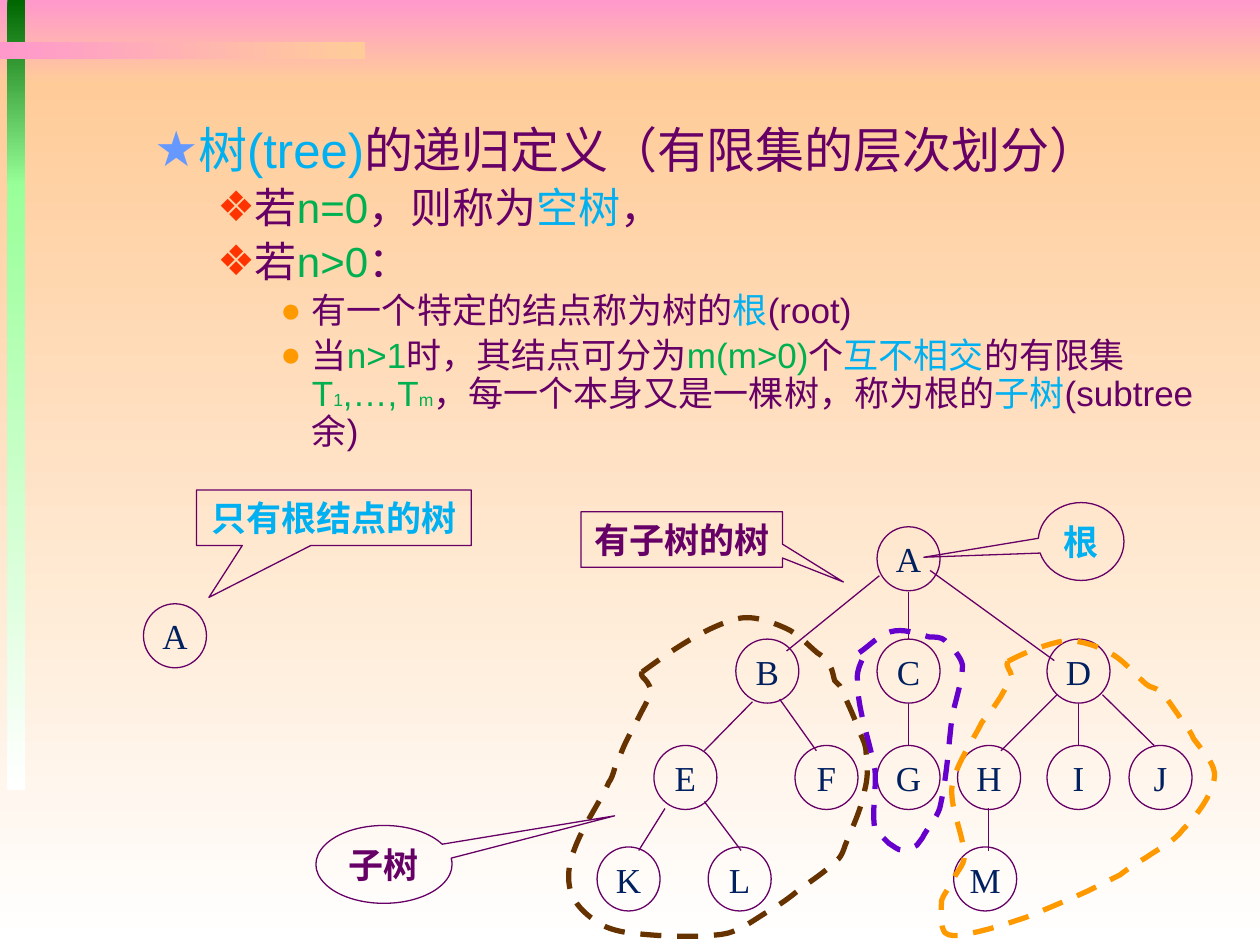
from math import hypot

from lxml import etree
from pptx import Presentation
from pptx.dml.color import RGBColor
from pptx.enum.dml import MSO_LINE
from pptx.enum.shapes import MSO_CONNECTOR, MSO_SHAPE
from pptx.enum.text import MSO_ANCHOR, MSO_AUTO_SIZE, PP_ALIGN
from pptx.oxml.ns import qn
from pptx.util import Pt

RECT, OVAL = MSO_SHAPE.RECTANGLE, MSO_SHAPE.OVAL
RECT_CALLOUT = MSO_SHAPE.RECTANGULAR_CALLOUT
OVAL_CALLOUT = MSO_SHAPE.OVAL_CALLOUT

THEME = {
    "text": "660066", "key": "00B0F0", "formula": "00B050", "node": "002060",
    "pink": "FF99CC", "peach": "FFCC99", "white": "FFFFFF",
    "dark_green": "006600", "light_green": "99FF99",
    "brown": "663300", "violet": "6600CC", "orange": "FF9900",
    "body_font": "Arial", "tree_font": "Times New Roman",
    "tree_size": 20, "subscript_size": 10, "thin": 0.75, "thick": 3,
}
# level: size, text indent, hanging, bullet, bullet colour
LEVELS = [
    (28, 58.5, 22.5, "★", "6699FF"),
    (24, 90, 18, "❖", "FF3300"),
    (20, 126, 18, "●", "FF9900"),
]
# left, top, width, height, first colour, last colour, angle
BANDS = [
    (0, 0, 720, 48, "pink", "peach", 270),
    (0, 48, 720, 492, "peach", "white", 270),
    (4.2, 0, 10, 106.5, "dark_green", "light_green", 270),
    (4.2, 105, 10, 346.5, "light_green", "white", 270),
    (0, 24, 208.5, 10, "pink", "peach", 0),
]
# level, runs of (text, colour, is subscript)
DEFINITION = [
    (0, [("树(tree)", "key"), ("的递归定义（有限集的层次划分）", "text")]),
    (1, [("若", "text"), ("n=0", "formula"), ("，则称为", "text"),
         ("空树", "key"), ("，", "text")]),
    (1, [("若", "text"), ("n>0", "formula"), ("：", "text")]),
    (2, [("有一个特定的结点称为树的", "text"), ("根", "key"), ("(root)", "text")]),
    (2, [("当", "text"), ("n>1", "formula"), ("时，其结点可分为", "text"),
         ("m(m>0)", "formula"), ("个", "text"), ("互不相交", "key"),
         ("的有限集", "text"), ("T", "formula"), ("1", "formula", True),
         (",…,T", "formula"), ("m", "formula", True),
         ("，每一个本身又是一棵树，称为根的", "text"), ("子树", "key"),
         ("(subtree余)", "text")]),
]
NODE_WIDTH, NODE_HEIGHT = 36, 36.6
# top of the row: label and left edge of each node
NODE_ROWS = {
    345: [("A", 82)],
    301: [("A", 501.2)],
    365.2: [("B", 420.5), ("C", 501.2), ("D", 598.3)],
    426: [("E", 373.7), ("F", 454.3), ("G", 501.2), ("H", 547.2),
          ("I", 598.3), ("J", 645.2)],
    484: [("K", 341.2), ("L", 404.7), ("M", 545)],
}
BRANCHES = [
    (519, 338.5, 519, 365), (519, 402.5, 519, 426), (616.3, 402.5, 616.3, 426),
    (604, 397, 572, 429), (630, 397, 659.5, 426), (531.5, 326, 602.5, 377.5),
    (502.5, 329, 449.5, 372), (445.5, 399.5, 466.5, 429), (430, 401, 402.5, 429),
    (380, 462, 365, 486), (402.5, 458, 423.5, 486), (565, 462, 565, 486),
]
# preset, left, top, width, height, pointer, text, colour
CALLOUTS = [
    (RECT_CALLOUT, 112.3, 280, 157, 31.7, (-0.455, 1.438), "只有根结点的树", "key"),
    (RECT_CALLOUT, 332, 292.5, 115.2, 31.7, (0.802, 0.765), "有子树的树", "text"),
    (OVAL_CALLOUT, 593.3, 287.2, 49, 44.5, (-1.834, 0.202), "根", "key"),
    (OVAL_CALLOUT, 180.5, 471.7, 77.8, 44.5, (1.694, -0.624), "子树", "text"),
]
# colour, is closed, points on the outline
SUBTREES = [
    ("brown", True, [
        (367, 384.5), (420.5, 353.5), (449, 359), (467, 373), (474.5, 380),
        (477, 389), (480, 392.5), (491, 417.5), (495, 431), (494, 452),
        (483, 483), (479, 491), (456.5, 509), (437, 522), (412, 534),
        (359, 533), (340, 526), (326, 509), (328, 486), (348.5, 447),
        (353.5, 433), (366.5, 408), (371.5, 395), (370, 390)]),
    ("violet", False, [
        (491, 373), (509, 361), (531, 363.5), (540, 366.5), (549.5, 380),
        (544.5, 409.5), (537, 462), (527, 479), (524, 483), (516, 486),
        (507.5, 481.5), (503.5, 477.5), (499.5, 474.5), (499.5, 440),
        (489.5, 389), (497, 368)]),
    ("orange", True, [
        (576, 378.5), (609, 366.5), (634.5, 373), (655, 391), (663, 395),
        (673, 408), (682.5, 422), (694, 444), (676, 474.5), (655, 489.5),
        (640, 499.5), (622, 509), (587, 523.5), (551, 534), (540, 533),
        (538.5, 515), (545, 502.5), (551, 489.5), (544.5, 450), (561, 413),
        (566, 407), (571.5, 398), (577.5, 386)]),
]


def color(name):
    """Return the theme colour of that name."""
    return RGBColor.from_string(THEME[name])


def add_run(paragraph, text, size, font, color_name, bold=False):
    """Add one formatted run."""
    run = paragraph.add_run()
    run.text = text
    run.font.size, run.font.name, run.font.bold = Pt(size), font, bold
    run.font.color.rgb = color(color_name)


def add_bands(presentation, slide):
    """Draw the gradient bands and move them to the back of the master."""
    master_tree = presentation.slide_master.shapes._spTree
    for index, (*box, first, last, angle) in enumerate(BANDS):
        shape = slide.shapes.add_shape(RECT, *map(Pt, box))
        shape.shadow.inherit = False
        shape.line.fill.background()
        shape.fill.gradient()
        shape.fill.gradient_angle = angle
        for stop, name in zip(shape.fill.gradient_stops, (first, last)):
            stop.color.rgb = color(name)
        shape._element.nvSpPr.cNvPr.set("id", str(100 + index))
        master_tree.insert(2 + index, shape._element)


def add_definition(slide):
    """Fill the body placeholder with the bulleted definition."""
    body = slide.placeholders[1]
    body.left, body.top, body.width, body.height = map(Pt, (45, 68.4, 669.6, 200))
    frame = body.text_frame
    frame.auto_size, frame.vertical_anchor = MSO_AUTO_SIZE.NONE, MSO_ANCHOR.TOP
    for index, (level, runs) in enumerate(DEFINITION):
        paragraph = frame.add_paragraph() if index else frame.paragraphs[0]
        size, indent, hanging, bullet, bullet_color = LEVELS[level]
        paragraph.level, paragraph.line_spacing = level, 0.9
        paragraph.space_before = Pt(0.2 * size)
        properties = paragraph._p.get_or_add_pPr()
        properties.set("marL", str(Pt(indent)))
        properties.set("indent", str(-Pt(hanging)))
        holder = etree.SubElement(properties, qn("a:buClr"))
        etree.SubElement(holder, qn("a:srgbClr"), val=bullet_color)
        etree.SubElement(properties, qn("a:buChar"), char=bullet)
        for text, name, *subscript in runs:
            run_size = THEME["subscript_size"] if subscript else size
            add_run(paragraph, text, run_size, THEME["body_font"], name)


def add_label(slide, preset, box, text, color_name, bold=False):
    """Add an outlined shape with centred text."""
    shape = slide.shapes.add_shape(preset, *map(Pt, box))
    shape.shadow.inherit = False
    shape.fill.background()
    shape.line.color.rgb, shape.line.width = color("text"), Pt(THEME["thin"])
    frame = shape.text_frame
    frame.word_wrap, frame.vertical_anchor = False, MSO_ANCHOR.MIDDLE
    paragraph = frame.paragraphs[0]
    paragraph.alignment = PP_ALIGN.CENTER
    add_run(paragraph, text, THEME["tree_size"], THEME["tree_font"], color_name, bold)
    return shape


def add_branch(slide, ends):
    """Join two nodes with a thin line."""
    line = slide.shapes.add_connector(MSO_CONNECTOR.STRAIGHT, *map(Pt, ends))
    line.line.color.rgb, line.line.width = color("text"), Pt(THEME["thin"])
    etree.SubElement(line._element.spPr, qn("a:effectLst"))


def curve_points(points, closed):
    """Return Bezier points, three a segment, for a smooth line."""
    count = len(points)
    result = []
    for index in range(count if closed else count - 1):
        a, b, c, d = (points[k % count if closed else min(max(k, 0), count - 1)]
                      for k in range(index - 1, index + 3))
        length = hypot(c[0] - b[0], c[1] - b[1])
        for base, start, end, sign in ((b, a, c, 1), (c, b, d, -1)):
            spread = sum(hypot(q[0] - p[0], q[1] - p[1])
                         for p, q in ((start, base), (base, end)))
            scale = sign * length / spread / 3
            result.append(tuple(base[k] + scale * (end[k] - start[k]) for k in (0, 1)))
        result.append(c)
    return result


def add_subtree(slide, color_name, closed, points):
    """Draw a dashed smooth outline round a subtree."""
    builder = slide.shapes.build_freeform(*points[0], scale=Pt(1))
    builder.add_line_segments(curve_points(points, closed), close=closed)
    shape = builder.convert_to_shape()
    steps = list(shape._element.iter(qn("a:lnTo")))
    for index in range(0, len(steps), 3):
        curve = etree.Element(qn("a:cubicBezTo"))
        steps[index].addprevious(curve)
        for step in steps[index:index + 3]:
            curve.append(step[0])
            step.getparent().remove(step)
    shape.shadow.inherit = False
    shape.fill.background()
    shape.line.color.rgb, shape.line.width = color(color_name), Pt(THEME["thick"])
    shape.line.dash_style = MSO_LINE.DASH


def main():
    """Build and save the slide."""
    presentation = Presentation()
    presentation.slide_width, presentation.slide_height = Pt(720), Pt(540)
    slide = presentation.slides.add_slide(presentation.slide_layouts[1])
    title = slide.shapes.title._element
    title.getparent().remove(title)
    add_bands(presentation, slide)
    add_definition(slide)
    for top, nodes in NODE_ROWS.items():
        for text, left in nodes:
            add_label(slide, OVAL, (left, top, NODE_WIDTH, NODE_HEIGHT), text, "node")
    for ends in BRANCHES:
        add_branch(slide, ends)
    for subtree in SUBTREES:
        add_subtree(slide, *subtree)
    for preset, *box, pointer, text, name in CALLOUTS:
        callout = add_label(slide, preset, box, text, name, bold=True)
        callout.adjustments[0], callout.adjustments[1] = pointer
    presentation.save("out.pptx")


main()
